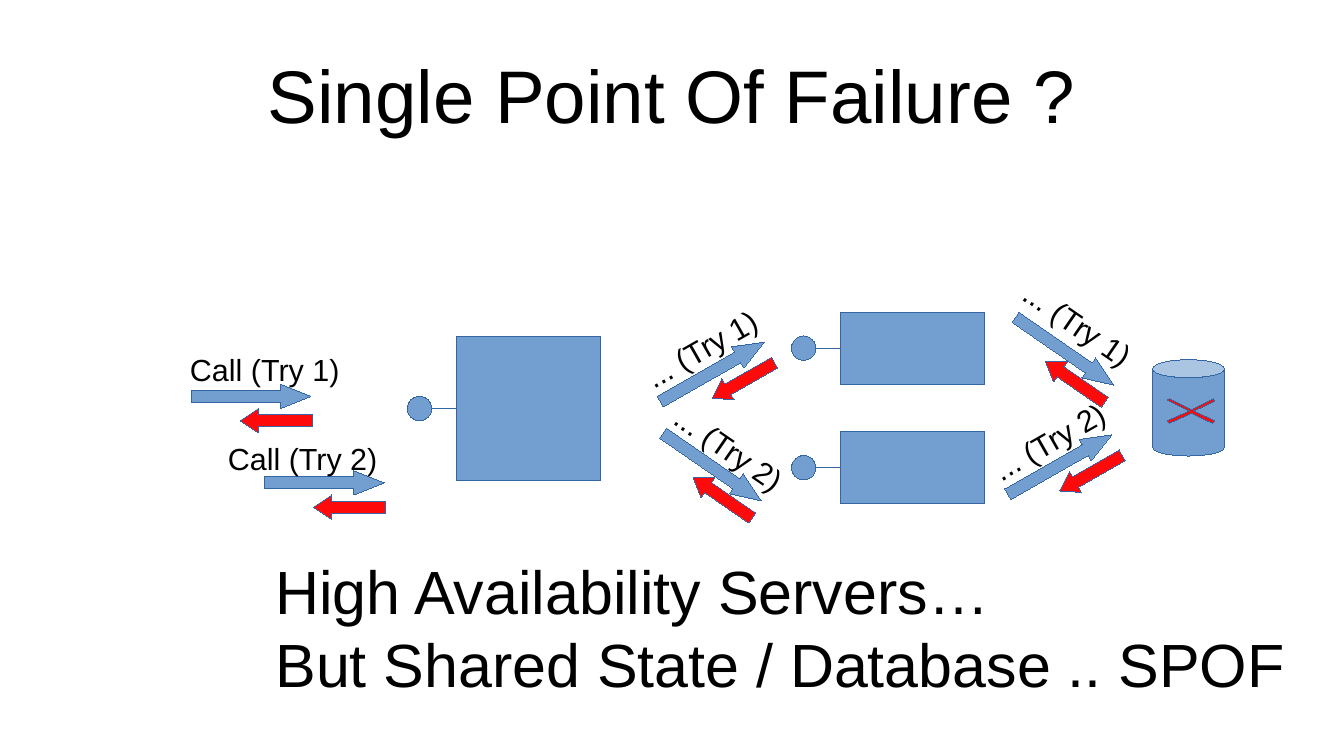
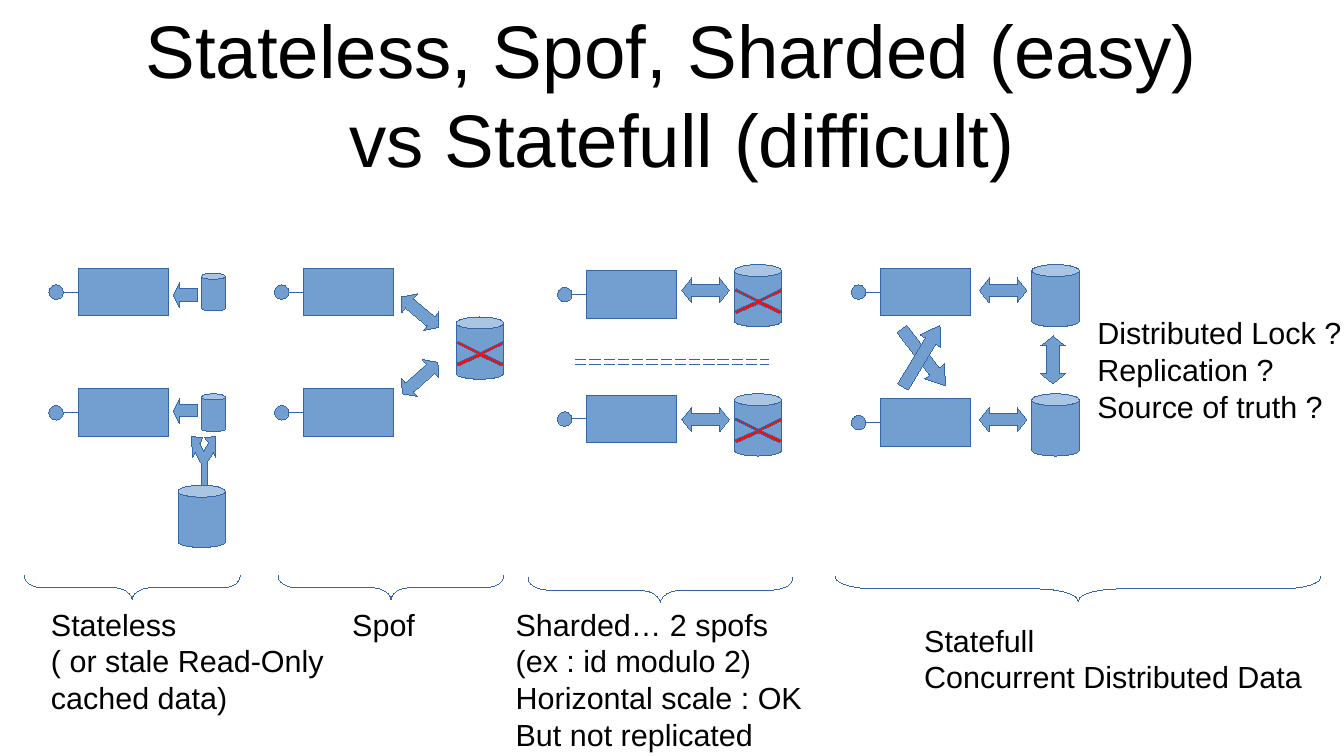
from dataclasses import dataclass

import pptx
import pptx.dml.color
import pptx.enum.dml
import pptx.enum.shapes
import pptx.enum.text
import pptx.oxml.ns
import pptx.util
from lxml import etree

Inches = pptx.util.Inches
Shape = pptx.enum.shapes.MSO_SHAPE
DASH = pptx.enum.dml.MSO_LINE.LONG_DASH


def rgb(value):
    return pptx.dml.color.RGBColor.from_string(value)


@dataclass(frozen=True)
class Theme:
    font: str = "Arial"
    text: str = "000000"
    fill: str = "729FCF"
    outline: str = "3465A4"
    alert: str = "FF0A0A"
    hairline: float = 0.01
    title_size: int = 44
    message_size: int = 36
    label_size: int = 18


CROSS = [(0.02, 0.2), (0, 0.18), (0.18, 0.1), (0, 0.01), (0.02, 0), (0.2, 0.09),
         (0.38, 0), (0.39, 0.02), (0.22, 0.1), (0.39, 0.18), (0.37, 0.2), (0.2, 0.12)]
FORK = [(0.11, 0.01), (0.14, 0.05), (0.1, 0.12), (0.07, 0.06), (0.09, 0.01),
        (0, 0), (0.01, 0.17), (0.03, 0.13), (0.08, 0.22), (0.08, 0.4),
        (0.13, 0.4), (0.13, 0.21), (0.18, 0.13), (0.2, 0.17), (0.2, 0)]


class Deck:
    def __init__(self, theme):
        self.theme = theme
        self.presentation = pptx.Presentation()
        self.presentation.slide_width = Inches(11.02)
        self.presentation.slide_height = Inches(6.2)
        self.slide = None

    def add_slide(self, title):
        self.slide = self.presentation.slides.add_slide(self.presentation.slide_layouts[5])
        placeholder = self.slide.shapes.title
        placeholder.left, placeholder.top = Inches(0.55), Inches(0.08)
        placeholder.width, placeholder.height = Inches(9.92), Inches(1.37)
        frame = placeholder.text_frame
        frame.margin_left = frame.margin_right = frame.margin_top = frame.margin_bottom = 0
        frame.vertical_anchor = pptx.enum.text.MSO_ANCHOR.MIDDLE
        frame.auto_size = pptx.enum.text.MSO_AUTO_SIZE.NONE
        frame.text = title
        self.format(frame, self.theme.title_size, pptx.enum.text.PP_ALIGN.CENTER)

    def format(self, frame, size, alignment):
        for paragraph in frame.paragraphs:
            paragraph.alignment = alignment
            paragraph.font.name = self.theme.font
            paragraph.font.size = pptx.util.Pt(size)
            paragraph.font.color.rgb = rgb(self.theme.text)

    def text(self, x, y, width, height, text, size=None, rotation=0):
        """Add an unwrapped text box; each line of text is a paragraph."""
        box = self.slide.shapes.add_textbox(Inches(x), Inches(y), Inches(width), Inches(height))
        box.rotation = rotation
        frame = box.text_frame
        frame.word_wrap = False
        frame.auto_size = pptx.enum.text.MSO_AUTO_SIZE.SHAPE_TO_FIT_TEXT
        frame.text = text
        self.format(frame, size or self.theme.label_size, pptx.enum.text.PP_ALIGN.LEFT)

    def paint(self, shape, fill):
        shape.shadow.inherit = False
        shape.fill.solid()
        shape.fill.fore_color.rgb = rgb(fill)
        self.outline(shape)

    def outline(self, shape):
        shape.line.color.rgb = rgb(self.theme.outline)
        shape.line.width = pptx.util.Pt(self.theme.hairline)

    def shape(self, kind, x, y, width, height, adjustments=(), rotation=0, fill=None):
        shape = self.slide.shapes.add_shape(
            kind, Inches(x), Inches(y), Inches(width), Inches(height))
        for index, value in enumerate(adjustments):
            shape.adjustments[index] = value
        shape.rotation = rotation
        self.paint(shape, fill or self.theme.fill)
        return shape

    def polygon(self, x, y, points, fill):
        """Add a closed outline from points relative to (x, y)."""
        corners = [(Inches(x + dx), Inches(y + dy)) for dx, dy in points]
        builder = self.slide.shapes.build_freeform(*corners[0])
        builder.add_line_segments(corners[1:], close=True)
        self.paint(builder.convert_to_shape(), fill)

    def line(self, x1, y1, x2, y2, dash=None):
        connector = self.slide.shapes.add_connector(
            pptx.enum.shapes.MSO_CONNECTOR.STRAIGHT,
            Inches(x1), Inches(y1), Inches(x2), Inches(y2))
        self.outline(connector)
        if dash:
            connector.line.dash_style = dash
        etree.SubElement(connector._element.spPr, pptx.oxml.ns.qn("a:effectLst"))
        return connector

    def server(self, x, y, width=0.74, height=0.39, port=0.12):
        """Add a box with a round port wired to the middle of its left side."""
        box = self.shape(Shape.RECTANGLE, x, y, width, height)
        middle = y + height / 2
        self.shape(Shape.OVAL, x - 2 * port, middle - port / 2, port, port)
        self.line(x - port, middle, x, middle).end_connect(box, 1)

    def database(self, x, y, width=0.39, height=0.51, failing=False):
        self.shape(Shape.CAN, x, y, width, height, [0.25])
        if failing:
            self.polygon(x, y + 0.2, CROSS, self.theme.alert)

    def arrow(self, x, y, width, rotation=0):
        self.shape(Shape.RIGHT_ARROW, x, y, width, 0.2, [0.5, width * 1.25 / 0.98], rotation)

    def double_arrow(self, x, y, rotation=0):
        self.shape(Shape.LEFT_RIGHT_ARROW, x, y, 0.39, 0.2, [0.5, 0.4], rotation)

    def call(self, x, y, text, label, reply, rotation=0):
        """Add a request arrow with its label and failed reply at offsets from it."""
        self.arrow(x, y, 0.98, rotation)
        self.text(x + label[0], y + label[1], 1.24 if rotation else 1.5, 0.38, text,
                  rotation=rotation)
        self.shape(Shape.LEFT_ARROW, x + reply[0], y + reply[1], 0.59, 0.2, [0.5, 0.75],
                   rotation, self.theme.alert)

    def brace(self, x, y, width, depth=0.2):
        """Add a brace under a section, pointing down."""
        shape = self.shape(Shape.LEFT_BRACE, x + (width - depth) / 2, y - (width - depth) / 2,
                           depth, width, [width / 12 / depth, 0.5], 270)
        shape.fill.background()


def build_failure_slide(deck):
    deck.add_slide("Single Point Of Failure ?")
    deck.server(3.74, 2.76, 1.18, 1.18, 0.2)
    for y in (2.56, 3.54):
        deck.server(6.89, y, 1.18, 0.59, 0.2)
    deck.database(9.45, 2.95, 0.59, 0.79)

    level_reply, rising_reply, falling_reply = (0.4, 0.2), (0.45, 0.07), (0.28, 0.25)
    rising, falling = 330.3, 34.6
    for x, y, text, label, reply, rotation in [
        (1.57, 3.15, "Call (Try 1)", (-0.11, -0.32), level_reply, 0),
        (2.17, 3.86, "Call (Try 2)", (-0.4, -0.3), level_reply, 0),
        (5.35, 2.95, "... (Try 1)", (-0.21, -0.3), rising_reply, rising),
        (5.35, 3.73, "... (Try 2)", (0.03, -0.24), falling_reply, falling),
        (8.2, 3.71, "... (Try 2)", (-0.21, -0.3), rising_reply, rising),
        (8.24, 2.78, "... (Try 1)", (0, -0.31), falling_reply, falling),
    ]:
        deck.call(x, y, text, label, reply, rotation)
    deck.polygon(9.57, 3.27, CROSS, deck.theme.alert)
    deck.text(2.16, 4.49, 8.48, 1.22,
              "High Availability Servers…\nBut Shared State / Database .. SPOF",
              deck.theme.message_size)


def build_comparison_slide(deck):
    deck.add_slide("Stateless, Spof, Sharded (easy)\v vs Statefull (difficult)")

    # Stateless
    for server_y, cache_y, arrow_y in [(2.2, 2.24, 2.32), (3.19, 3.23, 3.27)]:
        deck.server(0.64, server_y)
        deck.database(1.65, cache_y, 0.2, 0.31)
        deck.shape(Shape.LEFT_ARROW, 1.42, arrow_y, 0.2, 0.2, [0.5, 0.25])
    deck.database(1.46, 3.98)
    deck.polygon(1.57, 3.58, FORK, deck.theme.fill)

    # Single point of failure
    for server_y, arrow_y, rotation in [(2.2, 2.46, 219.8), (3.19, 3, 138.4)]:
        deck.server(2.49, server_y)
        deck.double_arrow(3.25, arrow_y, rotation)
    deck.database(3.74, 2.6, failing=True)

    # Sharded and statefull
    for x, server_ys, database_x, failing in [
        (4.81, (2.22, 3.24), 6.02, True),
        (7.22, (2.2, 3.27), 8.46, False),
    ]:
        for server_y, database_y in zip(server_ys, (2.17, 3.23)):
            deck.server(x, server_y)
            deck.double_arrow(database_x - 0.43, database_y + 0.11)
            deck.database(database_x, database_y, failing=failing)
    for y in (2.95, 2.99):
        deck.line(4.72, y, 6.3, y, DASH)
    deck.double_arrow(8.44, 2.85, 270)
    deck.arrow(7.28, 2.83, 0.59, 52.6)
    deck.arrow(7.26, 2.82, 0.59, 301.1)
    deck.text(8.9, 2.53, 2.2, 0.94, "Distributed Lock ?\nReplication ?\nSource of truth ?")

    for brace_x, brace_y, brace_width, x, y, width, height, caption in [
        (0.2, 4.72, 1.77, 0.32, 4.92, 2.5, 0.94,
         "Stateless\n( or stale Read-Only\vcached data)"),
        (2.28, 4.72, 1.85, 2.79, 4.92, 0.8, 0.38, "Spof"),
        (4.33, 4.74, 2.17, 4.13, 4.92, 2.55, 1.22,
         "Sharded… 2 spofs\n(ex : id modulo 2)\nHorizontal scale : OK\nBut not replicated"),
        (6.85, 4.73, 3.98, 7.48, 5.05, 3.3, 0.66,
         "Statefull\nConcurrent Distributed Data"),
    ]:
        deck.brace(brace_x, brace_y, brace_width)
        deck.text(x, y, width, height, caption)


def main():
    deck = Deck(Theme())
    build_failure_slide(deck)
    build_comparison_slide(deck)
    deck.presentation.save("out.pptx")


if __name__ == "__main__":
    main()
